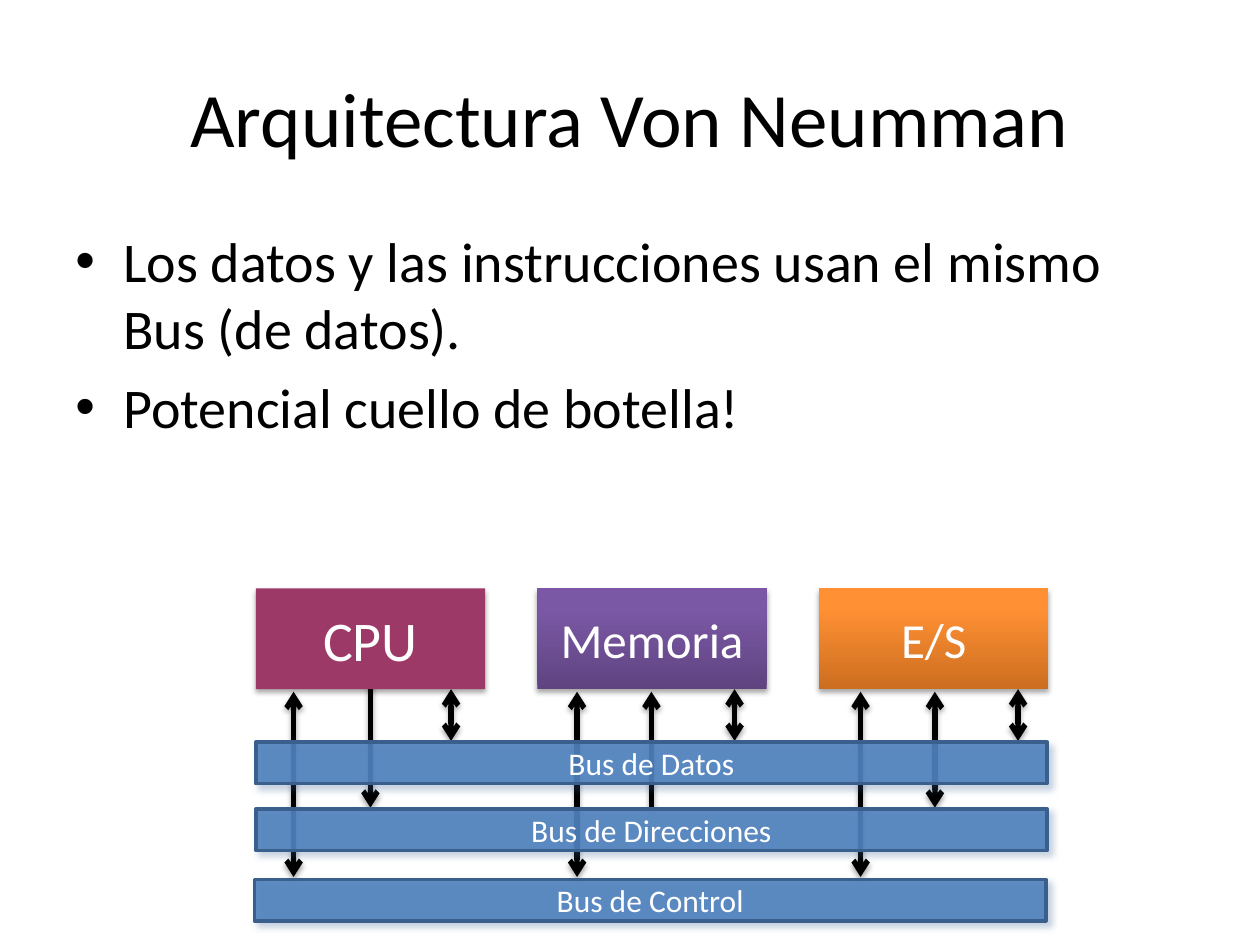
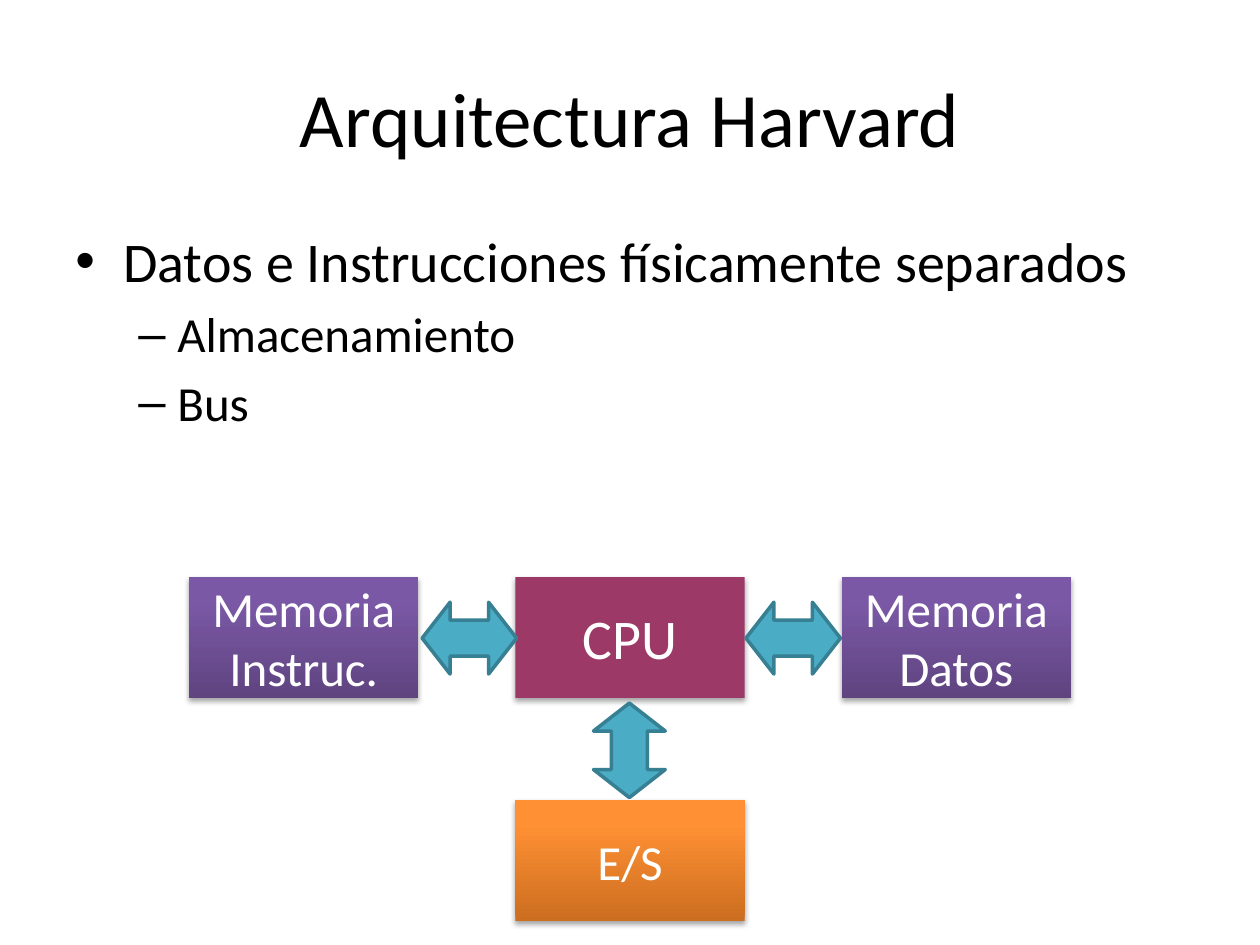
from lxml import etree
from pptx import Presentation
from pptx.dml.color import RGBColor
from pptx.enum.shapes import MSO_CONNECTOR as Connector, MSO_SHAPE as Preset
from pptx.enum.text import MSO_ANCHOR as Anchor, PP_ALIGN as Align
from pptx.oxml.ns import qn
from pptx.util import Inches, Pt

COLORS = {
    "text": "000000", "label": "FFFFFF", "cpu": "9D3966",
    "memory": ("5F4480", "7B58A6"), "io": ("CC6E20", "FF9034"),
    "bus": "4F81BD", "bus_line": "3A5F8C", "bus_shadow": "376092",
    "arrow": "4BACC6", "arrow_line": "377F92",
}
FONT = "Calibri"
SOFT_SHADOW = (COLORS["text"], 35, 3.1, 1.8, 90)
BUS_SHADOW = (COLORS["bus_shadow"], 30, 4, 3, 45)

presentation = Presentation()
presentation.slide_width, presentation.slide_height = Inches(10), Inches(7.5)
COLUMN = presentation.slide_width / 100
ROW = presentation.slide_height / 75


def add_shadow(shape, shadow):
    effects = etree.SubElement(shape._element.spPr, qn("a:effectLst"))
    if shadow:
        color, opacity, blur, distance, angle = shadow
        outer = etree.SubElement(effects, qn("a:outerShdw"), blurRad=str(Pt(blur)), dist=str(Pt(distance)),
                                 dir=str(angle * 60000), algn="tl", rotWithShape="0")
        tint = etree.SubElement(outer, qn("a:srgbClr"), val=color)
        etree.SubElement(tint, qn("a:alpha"), val=str(opacity * 1000))


def add_block(slide, preset, left, top, width, height, fill, line=None, shadow=SOFT_SHADOW, lines=(), size=28):
    shape = slide.shapes.add_shape(preset, int(left * COLUMN), int(top * ROW), int(width * COLUMN), int(height * ROW))
    if isinstance(fill, tuple):
        shape.fill.gradient()
        shape.fill.gradient_angle = 90
        for stop, color, position in zip(shape.fill.gradient_stops, fill, (0, 0.8)):
            stop.color.rgb = RGBColor.from_string(color)
            stop.position = position
    else:
        shape.fill.solid()
        shape.fill.fore_color.rgb = RGBColor.from_string(fill)
    if line:
        shape.line.color.rgb = RGBColor.from_string(line)
        shape.line.width = Pt(2)
    else:
        shape.line.fill.background()
    add_shadow(shape, shadow)
    frame = shape.text_frame
    frame.word_wrap = True
    frame.vertical_anchor = Anchor.MIDDLE
    for index, text in enumerate(lines):
        paragraph = frame.add_paragraph() if index else frame.paragraphs[0]
        paragraph.alignment = Align.CENTER
        run = paragraph.add_run()
        run.text = text
        run.font.name, run.font.size = FONT, Pt(size)
        run.font.color.rgb = RGBColor.from_string(COLORS["label"])
    return shape


LEVELS = [("•", 32, 0.38, -0.38), ("–", 28, 0.81, -0.31)]
CONTENT = [
    ("Arquitectura Von Neumman", 84.2, [
        (0, "Los datos y las instrucciones usan el mismo Bus (de datos)."),
        (0, "Potencial cuello de botella!")]),
    ("Arquitectura Harvard", 90, [
        (0, "Datos e Instrucciones físicamente separados"),
        (1, "Almacenamiento"),
        (1, "Bus")]),
]
slides = []
for title_text, body_width, items in CONTENT:
    slide = presentation.slides.add_slide(presentation.slide_layouts[5])
    slides.append(slide)
    title = slide.shapes.title
    title.left, title.top = int(5 * COLUMN), int(3 * ROW)
    title.width, title.height = int(90 * COLUMN), int(12.5 * ROW)
    title.text_frame.vertical_anchor = Anchor.MIDDLE
    paragraph = title.text_frame.paragraphs[0]
    paragraph.alignment = Align.CENTER
    run = paragraph.add_run()
    run.text = title_text
    run.font.name, run.font.size = FONT, Pt(44)
    run.font.color.rgb = RGBColor.from_string(COLORS["text"])

    body = slide.shapes.add_textbox(int(5 * COLUMN), int(17.5 * ROW), int(body_width * COLUMN), int(54.2 * ROW))
    body.text_frame.word_wrap = True
    for index, (level, text) in enumerate(items):
        bullet, size, margin, indent = LEVELS[level]
        paragraph = body.text_frame.add_paragraph() if index else body.text_frame.paragraphs[0]
        paragraph.level = level
        paragraph.space_before = Pt(size * 0.2)
        properties = paragraph._p.get_or_add_pPr()
        properties.set("marL", str(Inches(margin)))
        properties.set("indent", str(Inches(indent)))
        etree.SubElement(properties, qn("a:buFont"), typeface="Arial")
        etree.SubElement(properties, qn("a:buChar"), char=bullet)
        run = paragraph.add_run()
        run.text = text
        run.font.name, run.font.size = FONT, Pt(size)
        run.font.color.rgb = RGBColor.from_string(COLORS["text"])

von_neumann, harvard = slides

BOTH = ("headEnd", "tailEnd")
END = ("tailEnd",)
links = [(23.3 + 22.5 * unit, 54.9, 69.6, BOTH) for unit in range(3)]
links += [(74.2, 54.9, 64.1, BOTH), (29.4, 54.2, 64.1, END), (51.7, 64.1, 54.9, END)]
links += [(35.8 + 22.5 * unit, 54.7, 58.8, BOTH) for unit in range(3)]
for x, start, end, arrowheads in links:
    link = von_neumann.shapes.add_connector(
        Connector.STRAIGHT, int(x * COLUMN), int(start * ROW), int(x * COLUMN), int(end * ROW))
    link.line.color.rgb = RGBColor.from_string(COLORS["text"])
    link.line.width = Pt(3)
    for arrowhead in arrowheads:
        etree.SubElement(link.line._get_or_add_ln(), qn(f"a:{arrowhead}"), type="arrow")
    add_shadow(link, SOFT_SHADOW)

units = [("CPU", "cpu", 32), ("Memoria", "memory", 28), ("E/S", "io", 28)]
for index, (label, color, size) in enumerate(units):
    add_block(von_neumann, Preset.RECTANGLE, 20.3 + 22.35 * index, 46.7, 18.2, 8,
              COLORS[color], lines=[label], size=size)

buses = [("Bus de Datos", 20.3, 58.9), ("Bus de Direcciones", 20.3, 64.2), ("Bus de Control", 20.2, 69.8)]
for label, left, top in buses:
    bus = add_block(von_neumann, Preset.RECTANGLE, left, top, 62.8, 3.3, COLORS["bus"],
                    COLORS["bus_line"], BUS_SHADOW, [label], 18)
    bus_color = bus._element.spPr.find(qn("a:solidFill")).find(qn("a:srgbClr"))
    etree.SubElement(bus_color, qn("a:alpha"), val="90000")

modules = [
    (1, 63.5, "io", ["E/S"], 28),
    (2, 45.8, "memory", ["Memoria", "Datos"], 28),
    (1, 45.8, "cpu", ["CPU"], 32),
    (0, 45.8, "memory", ["Memoria", "Instruc."], 28),
]
for position, top, color, lines, size in modules:
    add_block(harvard, Preset.RECTANGLE, 15 + 25.9 * position, top, 18.2, 9.6,
              COLORS[color], lines=lines, size=size)

for left, top, rotation in [(33.5, 47.8, 0), (59.2, 47.8, 0), (46.2, 56.7, 90)]:
    arrow = add_block(harvard, Preset.LEFT_RIGHT_ARROW, left, top, 7.5, 5.7,
                      COLORS["arrow"], COLORS["arrow_line"], None)
    arrow.adjustments[0], arrow.adjustments[1] = 0.5, 0.39
    arrow.rotation = rotation

presentation.save("out.pptx")
